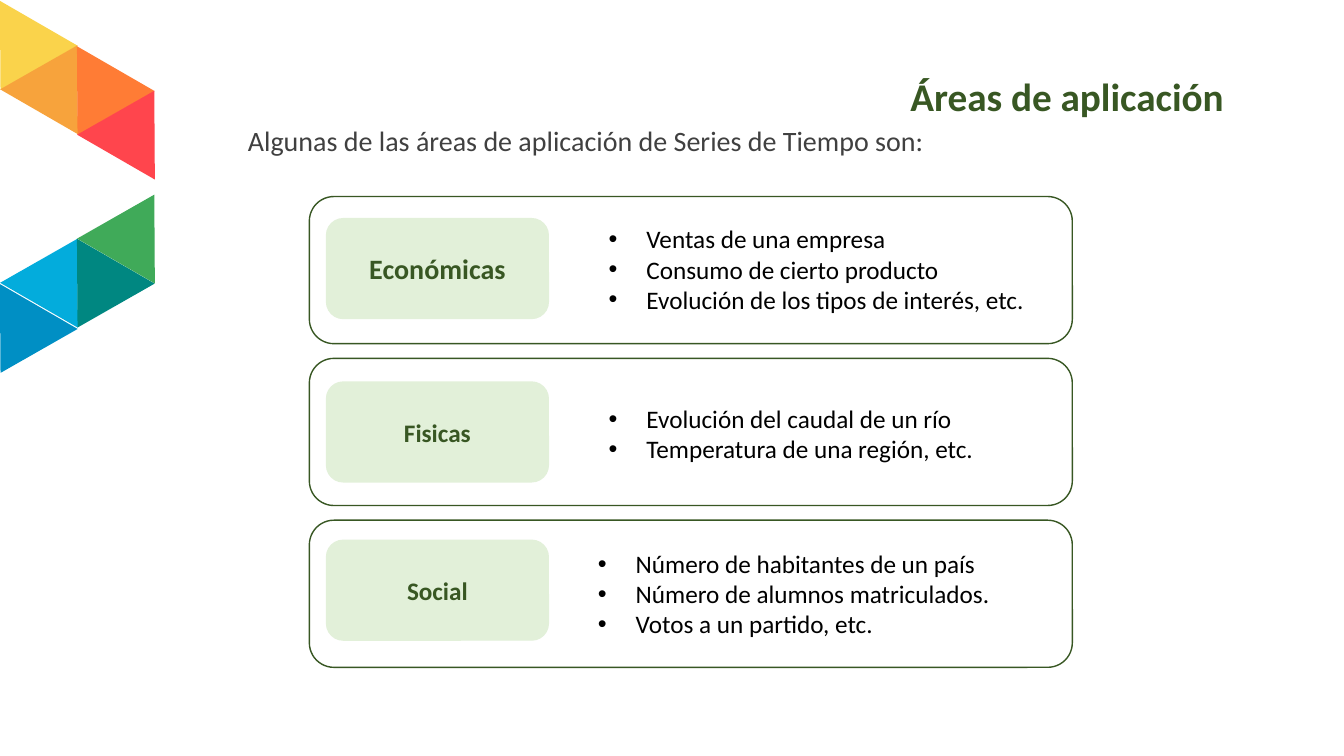
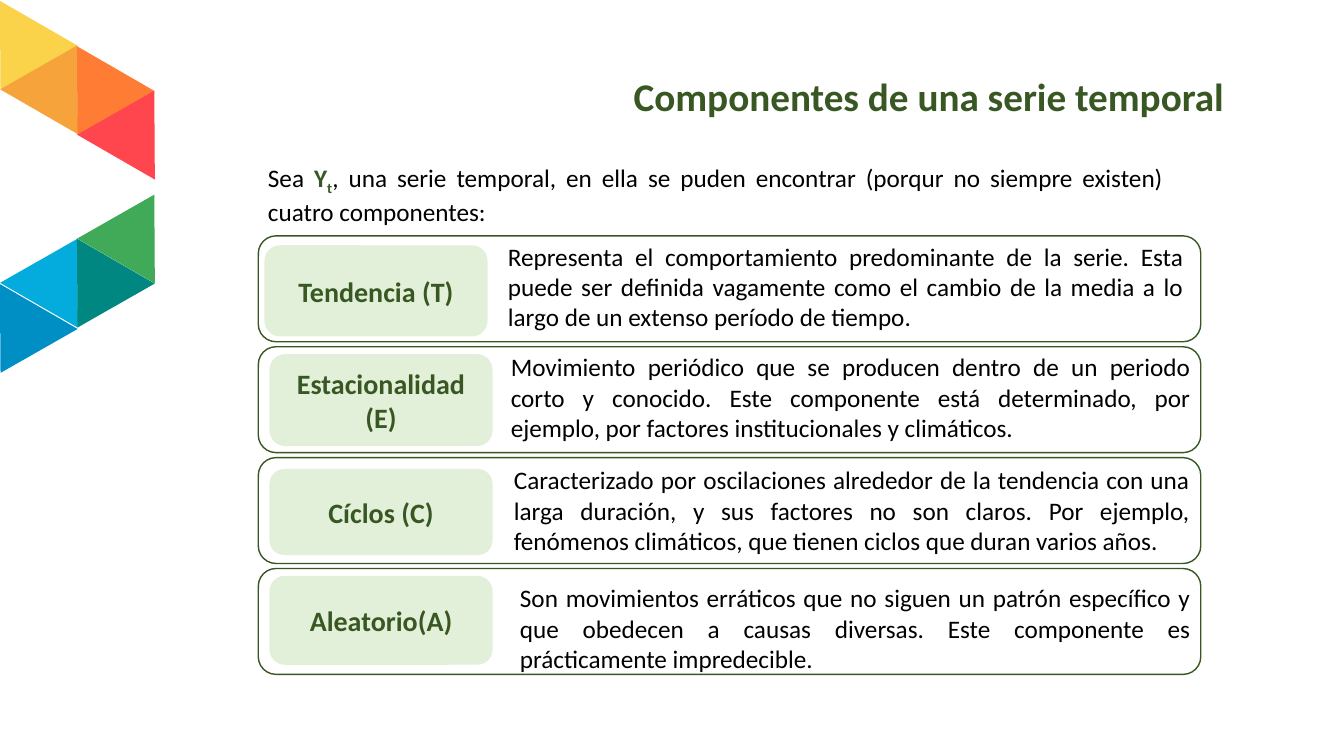
from lxml.etree import SubElement
from pptx import Presentation
from pptx.dml.color import RGBColor
from pptx.enum.shapes import MSO_SHAPE as Preset
from pptx.enum.text import MSO_ANCHOR as Anchor, MSO_AUTO_SIZE as AutoSize, PP_ALIGN as Align
from pptx.oxml.ns import qn
from pptx.util import Pt

COLORS = {
    "green": "385723",
    "mint": "E2F0D9",
    "gray": "404040",
    "black": "000000",
}
TRIANGLE_BANDS = (
    (("FAD34B", 13), ("F7A33C", 28.8), ("FF7C35", 45.4), ("FF454D", 61.2)),
    (("008FC4", 215.3), ("03ACDC", 167), ("008781", 182.9), ("40AA59", 135.4)),
)


def rgb(name):
    return RGBColor.from_string(COLORS.get(name, name))


def add_bullet(paragraph):
    properties = paragraph._p.get_or_add_pPr()
    properties.set("marL", str(Pt(63)))
    properties.set("indent", str(Pt(-27)))
    SubElement(properties, qn("a:buFont"), typeface="Arial")
    SubElement(properties, qn("a:buChar"), char="•")


def write(shape, paragraphs, size=18, color="black", bold=False, align=Align.LEFT,
          anchor=Anchor.TOP, spacing=None, bullet=False):
    frame = shape.text_frame
    frame.word_wrap = True
    frame.auto_size = AutoSize.NONE
    frame.vertical_anchor = anchor
    for index, runs in enumerate(paragraphs):
        paragraph = frame.add_paragraph() if index else frame.paragraphs[0]
        if bullet:
            add_bullet(paragraph)
        paragraph.alignment = align
        paragraph.line_spacing = spacing
        for text, changes in [(runs, {})] if isinstance(runs, str) else runs:
            run = paragraph.add_run()
            run.text = text
            run.font.name = "Calibri"
            run.font.size = Pt(size)
            run.font.bold = changes.get("bold", bold)
            run.font.color.rgb = rgb(changes.get("color", color))
            if "baseline" in changes:
                run._r.get_or_add_rPr().set("baseline", str(changes["baseline"]))


class Deck:
    def __init__(self):
        self.presentation = Presentation()
        self.presentation.slide_width = Pt(960)
        self.presentation.slide_height = Pt(540)
        self.layout = self.presentation.slide_layouts.get_by_name("Title Only")
        self.slide = None

    def add_slide(self, title):
        is_first = self.slide is None
        self.slide = self.presentation.slides.add_slide(self.layout)
        if is_first:
            self.decorate_layout()
        shape = self.slide.shapes.title
        shape.left, shape.top, shape.width, shape.height = map(Pt, (193, 51.8, 688.3, 46.8))
        write(shape, [title], size=28, color="green", bold=True, align=Align.RIGHT, spacing=0.9)

    def decorate_layout(self):
        tree = self.layout.shapes.element
        for band_index, band in enumerate(TRIANGLE_BANDS):
            for index, (color, top) in enumerate(band):
                triangle = self.shape(Preset.ISOSCELES_TRIANGLE, -18 + 27.5 * index, top,
                                      64.1, 54.7, fill=color)
                triangle.rotation = 30 if index % 2 else 210
                properties = triangle.element.xpath(".//p:cNvPr")[0]
                properties.set("id", str(100 + 10 * band_index + index))
                tree.append(triangle.element)

    def shape(self, preset, left, top, width, height, fill=None, line=None):
        shape = self.slide.shapes.add_shape(preset, Pt(left), Pt(top), Pt(width), Pt(height))
        shape.shadow.inherit = False
        if fill:
            shape.fill.solid()
            shape.fill.fore_color.rgb = rgb(fill)
        else:
            shape.fill.background()
        if line:
            shape.line.color.rgb = rgb(line)
            shape.line.width = Pt(1)
        else:
            shape.line.fill.background()
        return shape

    def panel(self, left, top, width, height):
        self.shape(Preset.ROUNDED_RECTANGLE, left, top, width, height, line="green")

    def label(self, text, left, top, height, size=20):
        shape = self.shape(Preset.ROUNDED_RECTANGLE, left, top, 158.4, height, "mint", "mint")
        write(shape, [text], size=size, color="green", bold=True,
              align=Align.CENTER, anchor=Anchor.MIDDLE)

    def text(self, paragraphs, left, top, width, height, **style):
        box = self.slide.shapes.add_textbox(Pt(left), Pt(top), Pt(width), Pt(height))
        write(box, paragraphs, **style)


def build_areas(deck):
    deck.add_slide("Áreas de aplicación")
    deck.text(["Algunas de las áreas de aplicación de Series de Tiempo son:"],
              170, 87.1, 688.3, 40.3, size=20, color="gray", spacing=0.9)
    areas = (
        ("Económicas", 20, 156.2, 391.7, 156.2,
         ["Ventas de una empresa", "Consumo de cierto producto",
          "Evolución de los tipos de interés, etc."]),
        ("Fisicas", 18, 272.9, 391.7, 284.6,
         ["Evolución del caudal de un río", "Temperatura de una región, etc."]),
        ("Social", 18, 385.9, 384, 388.1,
         ["Número de habitantes de un país", "Número de alumnos matriculados.",
          "Votos a un partido, etc."]),
    )
    for index, (name, size, label_top, list_left, list_top, examples) in enumerate(areas):
        deck.panel(221, 140.4 + 115.6 * index, 545, 105.1)
        deck.label(name, 233.3, label_top, 71.3, size)
        deck.text(examples, list_left, list_top, 766 - list_left, 72.7,
                  align=Align.JUSTIFY, bullet=True)


def build_components(deck):
    deck.add_slide("Componentes de una serie temporal")
    symbol = {"color": "green", "bold": True}
    deck.text([[
        ("Sea ", {}),
        ("Y", symbol),
        ("t", {**symbol, "baseline": -25000}),
        (", una serie temporal, en ella se puden encontrar (porqur no siempre existen) "
         "cuatro componentes:", {}),
    ]], 184.3, 112.3, 653.8, 51.1, align=Align.JUSTIFY)
    components = (
        ("Tendencia (T)", 189.4, 175.7, 64.1, 355.7, 168.5, 496.8,
         "Representa el comportamiento predominante de la serie. Esta puede ser definida "
         "vagamente como el cambio de la media a lo largo de un extenso período de tiempo."),
        ("Estacionalidad (E)", 193, 253.4, 64.8, 357.8, 247.7, 499.7,
         "Movimiento periódico que se producen dentro de un periodo corto y conocido. Este "
         "componente está determinado, por ejemplo, por factores institucionales y climáticos."),
        ("Cíclos (C)", 193, 335.5, 60.5, 360, 328.3, 497,
         "Caracterizado por oscilaciones alrededor de la tendencia con una larga duración, y "
         "sus factores no son claros. Por ejemplo, fenómenos climáticos, que tienen ciclos "
         "que duran varios años."),
        ("Aleatorio(A)", 193, 411.8, 62.6, 364.3, 412.6, 493.2,
         "Son movimientos erráticos que no siguen un patrón específico y que obedecen a "
         "causas diversas. Este componente es prácticamente impredecible."),
    )
    for index, (name, label_left, label_top, label_height,
                left, top, width, description) in enumerate(components):
        deck.panel(184.5, 168.5 + 79.2 * index, 673.2, 75.6)
        deck.label(name, label_left, label_top, label_height)
        deck.text([description], left, top, width, 72.7, align=Align.JUSTIFY)


def main():
    deck = Deck()
    build_areas(deck)
    build_components(deck)
    deck.presentation.save("out.pptx")


if __name__ == "__main__":
    main()
